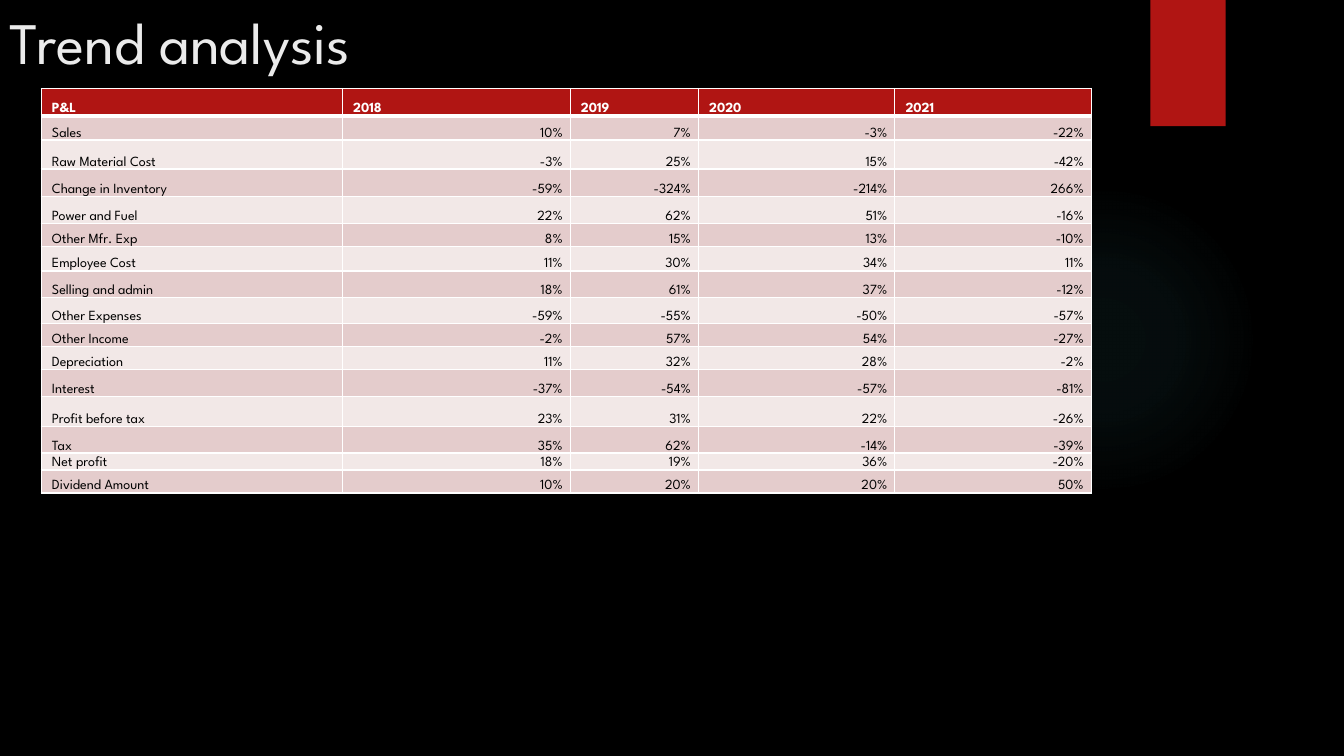
from typing import NamedTuple

from lxml import etree
from pptx import Presentation
from pptx import util as u
from pptx.dml.color import RGBColor
from pptx.enum import shapes, text
from pptx.oxml import ns

FONT = "League Spartan"
RED, WHITE, BLACK = "B01513", "FFFFFF", "000000"
BANDS = ("E4CCCC", "F2E8E7")
YEARS = ("2018", "2019", "2020", "2021")
COLUMN_WIDTHS = (7.59, 5.74, 3.23, 4.95, 4.95)


class Entry(NamedTuple):
    label: str
    height: float
    values: tuple[str, ...]


class Box(NamedTuple):
    left: float
    top: float
    width: float
    height: float

    def lengths(self) -> list[u.Length]:
        return [u.Cm(side) for side in self]


HEADER = Entry("P&L", 0.69, YEARS)
ENTRIES = (
    Entry("Sales", 0.61, ("10%", "7%", "-3%", "-22%")),
    Entry("Raw Material Cost", 0.73, ("-3%", "25%", "15%", "-42%")),
    Entry("Change in Inventory", 0.69, ("-59%", "-324%", "-214%", "266%")),
    Entry("Power and Fuel", 0.69, ("22%", "62%", "51%", "-16%")),
    Entry("Other Mfr. Exp", 0.58, ("8%", "15%", "13%", "-10%")),
    Entry("Employee Cost", 0.61, ("11%", "30%", "34%", "11%")),
    Entry("Selling and admin", 0.66, ("18%", "61%", "37%", "-12%")),
    Entry("Other Expenses", 0.66, ("-59%", "-55%", "-50%", "-57%")),
    Entry("Other Income", 0.58, ("-2%", "57%", "54%", "-27%")),
    Entry("Depreciation", 0.58, ("11%", "32%", "28%", "-2%")),
    Entry("Interest", 0.69, ("-37%", "-54%", "-57%", "-81%")),
    Entry("Profit before tax", 0.76, ("23%", "31%", "22%", "-26%")),
    Entry("Tax", 0.66, ("35%", "62%", "-14%", "-39%")),
    Entry("Net profit", 0.38, ("18%", "19%", "36%", "-20%")),
    Entry("Dividend Amount", 0.58, ("10%", "20%", "20%", "50%")),
)


def paint(fill, color: str) -> None:
    fill.solid()
    fill.fore_color.rgb = RGBColor.from_string(color)


def write(frame, words: str, *, size: float, color: str, bold: bool = False,
          align=text.PP_ALIGN.LEFT) -> None:
    paragraph = frame.paragraphs[0]
    paragraph.alignment = align
    run = paragraph.add_run()
    run.text = words
    run.font.name, run.font.size, run.font.bold = FONT, u.Pt(size), bold
    run.font.color.rgb = RGBColor.from_string(color)


def add_plain(slide, kind, box: Box, color: str):
    shape = slide.shapes.add_shape(kind, *box.lengths())
    shape.shadow.inherit = False
    shape.line.fill.background()
    paint(shape.fill, color)
    return shape


def add_glow(slide, box: Box, color: str, stops: dict[int, int]) -> None:
    """Draw a circle fading outwards; stops map position to opacity, in percent."""
    glow = add_plain(slide, shapes.MSO_SHAPE.OVAL, box, color)
    marks = "".join(
        f'<a:gs pos="{place * 1000}"><a:srgbClr val="{color}">'
        f'<a:alpha val="{opacity * 1000}"/></a:srgbClr></a:gs>'
        for place, opacity in stops.items())
    gradient = etree.fromstring(
        f'<a:gradFill {ns.nsdecls("a")}><a:gsLst>{marks}</a:gsLst>'
        '<a:path path="circle"><a:fillToRect l="50000" t="50000" r="50000" b="50000"/>'
        '</a:path></a:gradFill>')
    properties = glow.element.spPr
    properties.replace(properties.find(ns.qn("a:solidFill")), gradient)


def add_borders(cell, top: float, bottom: float) -> None:
    widths = {"lnL": 1, "lnR": 1, "lnT": top, "lnB": bottom}
    properties = cell._tc.get_or_add_tcPr()
    for place, (side, width) in enumerate(widths.items()):
        properties.insert(place, etree.fromstring(
            f'<a:{side} {ns.nsdecls("a")} w="{u.Pt(width)}"><a:solidFill>'
            f'<a:srgbClr val="{WHITE}"/></a:solidFill></a:{side}>'))


def add_trend_table(slide, left: float, top: float) -> None:
    lines = (HEADER, *ENTRIES)
    box = Box(left, top, sum(COLUMN_WIDTHS), sum(line.height for line in lines))
    table = slide.shapes.add_table(len(lines), len(COLUMN_WIDTHS), *box.lengths()).table
    for column, width in zip(table.columns, COLUMN_WIDTHS):
        column.width = u.Cm(width)
    for index, line in enumerate(lines):
        table.rows[index].height = u.Cm(line.height)
        is_header = index == 0
        for place, words in enumerate((line.label, *line.values)):
            cell = table.cell(index, place)
            cell.margin_left, cell.margin_right = u.Cm(0.27), u.Cm(0.19)
            cell.margin_top = cell.margin_bottom = 0
            cell.vertical_anchor = text.MSO_ANCHOR.BOTTOM
            paint(cell.fill, RED if is_header else BANDS[(index - 1) % 2])
            add_borders(cell, top=3 if index == 1 else 1, bottom=3 if is_header else 1)
            is_value = place > 0 and not is_header
            write(cell.text_frame, words, size=10, bold=is_header,
                  color=WHITE if is_header else BLACK,
                  align=text.PP_ALIGN.RIGHT if is_value else text.PP_ALIGN.LEFT)


def main() -> None:
    deck = Presentation()
    deck.slide_width, deck.slide_height = u.Cm(33.87), u.Cm(19.05)
    slide = deck.slides.add_slide(deck.slide_layouts[6])

    # Backdrop
    paint(slide.background.fill, BLACK)
    add_glow(slide, Box(23.9, 4.65, 7.82, 7.82), "50B9C1", {0: 7, 36: 6, 69: 0})
    add_plain(slide, shapes.MSO_SHAPE.RECTANGLE, Box(28.99, 0, 1.9, 3.18), RED)

    # Title
    title = slide.shapes.add_textbox(*Box(0, 0.03, 26.14, 3.89).lengths()).text_frame
    title.word_wrap = True
    write(title, "Trend analysis", size=42, color="EBEBEB")

    # Yearly changes
    add_trend_table(slide, left=1.04, top=2.23)

    deck.save("out.pptx")


if __name__ == "__main__":
    main()
